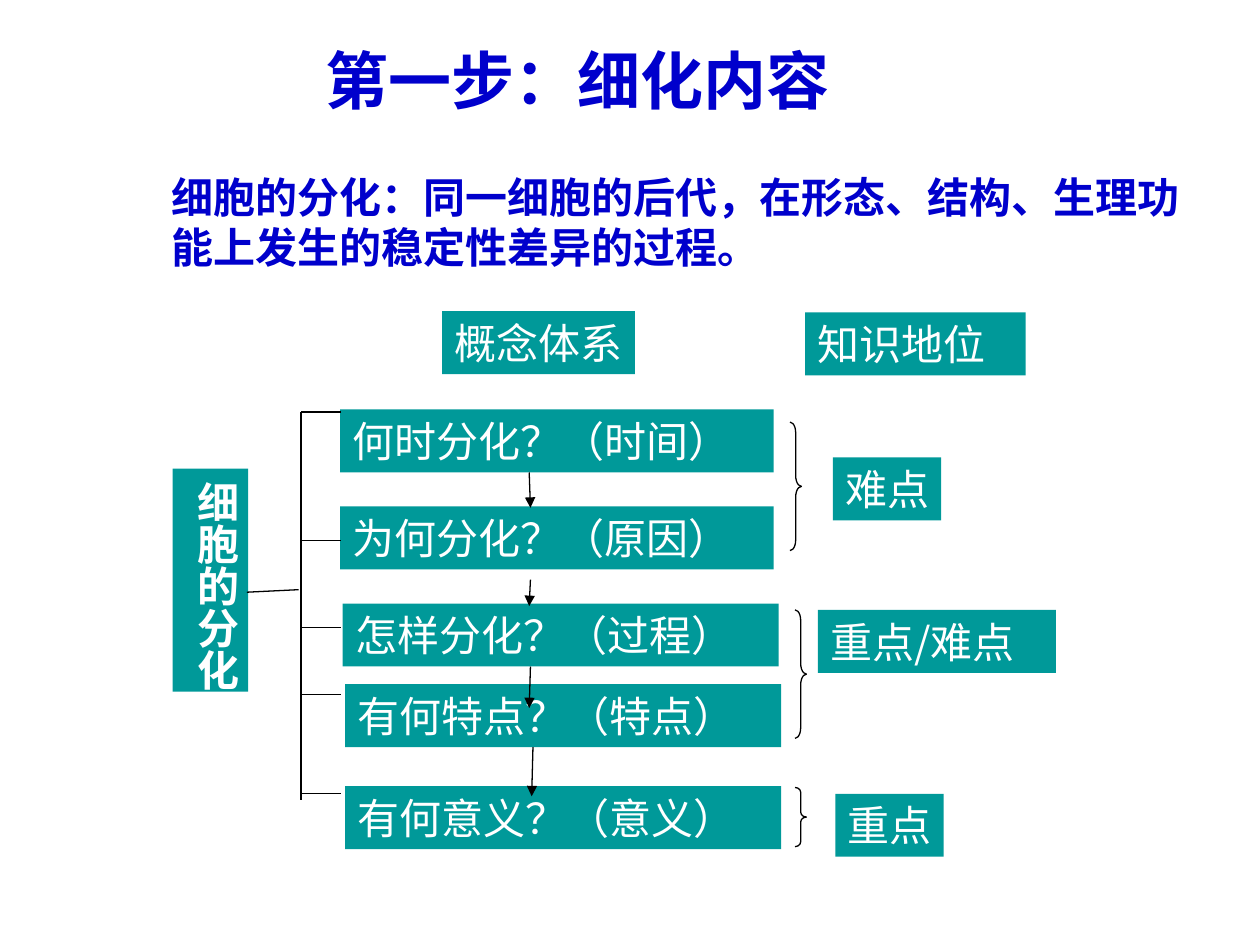
from lxml import etree
from pptx import Presentation
from pptx import util as u
from pptx.dml.color import RGBColor
from pptx.enum import shapes, text
from pptx.oxml.ns import qn


def rgb(value):
    return RGBColor.from_string(value)


class Board:
    FONT = "Noto Sans CJK SC"
    TEAL, WHITE, BLUE, BLACK = "009999", "FFFFFF", "0000CC", "000000"
    BOX_HEIGHT = 0.5

    def __init__(self, slide):
        self.s = slide

    def set_text(self, sp, content, size=24, color=WHITE, bold=False, wrap=True):
        tf = sp.text_frame
        tf.word_wrap = wrap
        tf.vertical_anchor = text.MSO_ANCHOR.TOP
        p = tf.paragraphs[0]
        p.text = content
        p.alignment = text.PP_ALIGN.LEFT
        p.font.size = u.Pt(size)
        p.font.bold = bold
        p.font.color.rgb = rgb(color)
        p.font.name = self.FONT
        props = p._p.pPr.find(qn("a:defRPr"))
        etree.SubElement(props, qn("a:ea")).set("typeface", self.FONT)

    def shape(self, kind, x, y, w, h):
        sp = self.s.shapes.add_shape(kind, *map(u.Inches, (x, y, w, h)))
        sp.shadow.inherit = False
        return sp

    def box(self, content, x, y, w, h=BOX_HEIGHT, fill=TEAL, **style):
        sp = self.shape(shapes.MSO_SHAPE.RECTANGLE, x, y, w, h)
        sp.fill.solid()
        sp.fill.fore_color.rgb = rgb(fill)
        sp.line.fill.background()
        self.set_text(sp, content, **style)
        return sp

    def vertical_box(self, content, x, y, w, h):
        sp = self.box(content, x, y, w, h, bold=True, wrap=False)
        tf = sp.text_frame
        tf.margin_left = tf.margin_right = u.Inches(0.05)
        tf.margin_top = tf.margin_bottom = u.Inches(0.1)
        tf._txBody.bodyPr.set("vert", "eaVert")

    def label(self, content, x, y, w, h, **style):
        sp = self.s.shapes.add_textbox(*map(u.Inches, (x, y, w, h)))
        self.set_text(sp, content, **style)

    def outline(self, sp):
        sp.line.color.rgb = rgb(self.BLACK)
        sp.line.width = u.Pt(0.75)

    def line(self, x1, y1, x2, y2, arrow=False):
        c = self.s.shapes.add_connector(
            shapes.MSO_CONNECTOR.STRAIGHT, *map(u.Inches, (x1, y1, x2, y2)))
        self.outline(c)
        if arrow:
            ln = c.line._get_or_add_ln()
            etree.SubElement(ln, qn("a:tailEnd")).set("type", "triangle")
        etree.SubElement(c._element.spPr, qn("a:effectLst"))

    def brace(self, x, y, h, w=0.09):
        sp = self.shape(shapes.MSO_SHAPE.RIGHT_BRACE, x, y, w, h)
        sp.fill.background()
        sp.adjustments[0] = h / 12 / w
        self.outline(sp)


def main():
    prs = Presentation()
    prs.slide_width, prs.slide_height = u.Inches(10), u.Inches(7.5)
    board = Board(prs.slides.add_slide(prs.slide_layouts[6]))

    board.box(" 第一步：细化内容", 2.37, 0.28, 5.77, 0.7,
              fill=Board.WHITE, size=36, color=Board.BLUE, bold=True)
    board.label("细胞的分化：同一细胞的后代，在形态、结构、生理功能上发生的稳定性差异的过程。",
                1.26, 1.31, 8.47, 0.9, color=Board.BLUE, bold=True)
    board.vertical_box("细胞的分化", 1.37, 3.72, 0.6, 1.77)

    questions = [
        ("何时分化？（时间）", 2.7, 3.25, 3.44),
        ("为何分化？（原因）", 2.7, 4.02, 3.44),
        ("怎样分化？（过程）", 2.72, 4.79, 3.46),
        ("有何特点？（特点）", 2.74, 5.43, 3.46),
        ("有何意义？（意义）", 2.74, 6.24, 3.46),
    ]
    for question in questions:
        board.box(*question)

    trunk = 2.39
    board.line(1.96, 4.7, 2.37, 4.68)
    board.line(trunk, 3.27, trunk, 6.35)
    for y in (3.27, 4.29, 4.98, 5.51, 6.3):
        board.line(trunk, y, 2.71, y)

    arrows = [
        (4.2, 3.75, 4.21, 4.03),
        (4.21, 4.6, 4.2, 4.81),
        (4.21, 5.29, 4.2, 5.62),
        (4.23, 5.93, 4.22, 6.32),
    ]
    for ends in arrows:
        board.line(*ends, arrow=True)

    board.box("概念体系", 3.51, 2.47, 1.53, wrap=False)
    board.box("知识地位", 6.39, 2.48, 1.75)
    board.box("难点", 6.61, 3.63, 0.86, wrap=False)
    board.box("重点/难点", 6.49, 4.84, 1.89)
    board.box("重点", 6.63, 6.3, 0.86, wrap=False)

    for x, y, h in ((6.27, 3.35, 1.02), (6.31, 4.84, 1.02), (6.31, 6.25, 0.47)):
        board.brace(x, y, h)

    prs.save("out.pptx")


if __name__ == "__main__":
    main()
